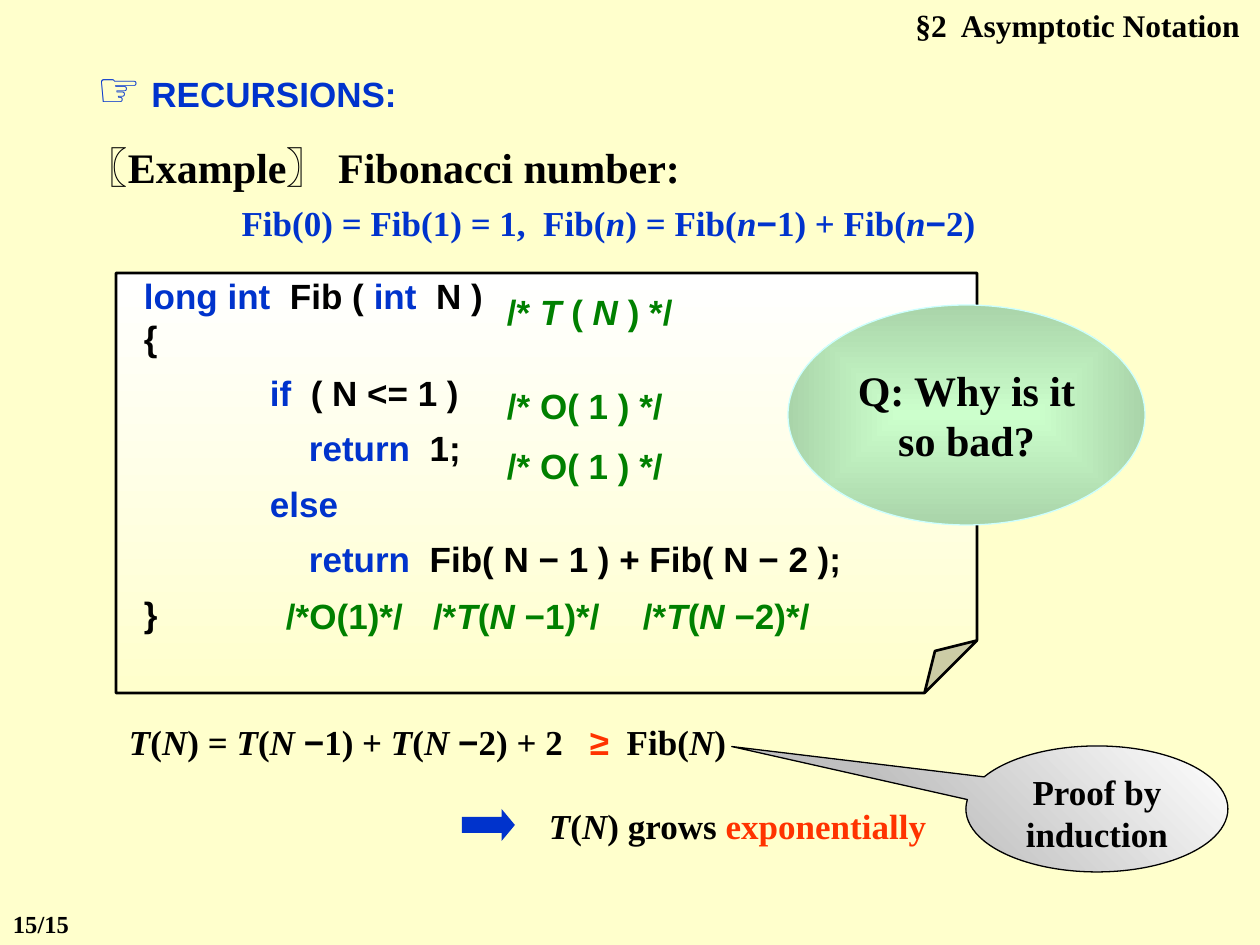
from dataclasses import dataclass
from itertools import groupby
from typing import NamedTuple, Optional

from lxml import etree
from pptx import Presentation
from pptx.dml.color import RGBColor
from pptx.enum.shapes import MSO_SHAPE
from pptx.enum.text import MSO_ANCHOR, PP_ALIGN
from pptx.oxml.ns import qn
from pptx.util import Emu, Pt

LEFT, CENTER, RIGHT = PP_ALIGN.LEFT, PP_ALIGN.CENTER, PP_ALIGN.RIGHT
TOP, MIDDLE, BOTTOM = MSO_ANCHOR.TOP, MSO_ANCHOR.MIDDLE, MSO_ANCHOR.BOTTOM
FOLDED, ELLIPSE = MSO_SHAPE.FOLDED_CORNER, MSO_SHAPE.OVAL
CALLOUT, ARROW = MSO_SHAPE.OVAL_CALLOUT, MSO_SHAPE.RIGHT_ARROW
EMU_PER_PX = 914400 / 126
MINUS = "\u2212"


@dataclass(frozen=True)
class Theme:
    serif: str = "Times New Roman"
    sans: str = "Arial"
    page: str = "FFFFCC"
    ink: str = "000000"
    blue: str = "0033CC"
    green: str = "008000"
    red: str = "FF3300"
    white: str = "FFFFFF"
    grey: str = "C0C0C0"
    mint: str = "CCFFCC"
    sage: str = "A9D4A9"
    ice: str = "CCFFFF"
    icon: int = 28
    large: int = 24
    body: int = 20
    header: int = 18
    small: int = 14


T = Theme()


class Box(NamedTuple):
    x: int
    y: int
    w: int
    h: int


class Run(NamedTuple):
    text: str  # parts between underscores are italic
    color: Optional[str] = None
    font: Optional[str] = None
    size: Optional[int] = None


class Para(NamedTuple):
    runs: list[Run]
    size: int = T.body
    font: str = T.serif
    color: str = T.ink
    align: PP_ALIGN = LEFT
    indent: int = 0
    before: float = 0
    after: float = 0


class Insets(NamedTuple):
    left: int = 13
    top: int = 6
    right: int = 13
    bottom: int = 6


class Label(NamedTuple):
    box: Box
    paras: list[Para]
    insets: Insets = Insets()


class Figure(NamedTuple):
    kind: MSO_SHAPE
    box: Box
    fill: tuple[str, ...]
    angle: Optional[int] = None  # None: gradient from the centre
    line: Optional[str] = None
    width: float = 0.75
    adjust: tuple[tuple[str, int], ...] = ()  # guide name, value in 1/100000
    paras: tuple[Para, ...] = ()
    anchor: MSO_ANCHOR = TOP
    insets: Insets = Insets()


def px(n: float) -> Emu:
    return Emu(round(n * EMU_PER_PX))


def rgb(value: str) -> RGBColor:
    return RGBColor.from_string(value)


def add_runs(p, para: Para, run: Run) -> None:
    font = run.font or para.font
    for i, part in enumerate(run.text.split("_")):
        for minus, chars in groupby(part, lambda c: c == MINUS and font == T.serif):
            r = p.add_run()
            r.text = "".join(chars)
            if i % 2:
                r.font.italic = True
            if minus or run.font:
                r.font.name = T.sans if minus else font
            if run.size:
                r.font.size = Pt(run.size)
            if run.color:
                r.font.color.rgb = rgb(run.color)


def write(tf, paras, insets: Insets, anchor: MSO_ANCHOR = TOP) -> None:
    tf.word_wrap = True
    tf.vertical_anchor = anchor
    tf.margin_left, tf.margin_top, tf.margin_right, tf.margin_bottom = map(px, insets)
    for i, para in enumerate(paras):
        p = tf.add_paragraph() if i else tf.paragraphs[0]
        p.alignment = para.align
        p.space_before, p.space_after = Pt(para.before), Pt(para.after)
        p.font.size, p.font.name, p.font.bold = Pt(para.size), para.font, True
        p.font.color.rgb = rgb(para.color)
        if para.indent:
            p._p.get_or_add_pPr().set("marL", str(px(para.indent)))
        for run in para.runs:
            add_runs(p, para, run)


def add_label(s, label: Label) -> None:
    sp = s.shapes.add_textbox(*map(px, label.box))
    write(sp.text_frame, label.paras, label.insets)


def paint(sp, fig: Figure) -> None:
    if len(fig.fill) == 1:
        sp.fill.solid()
        sp.fill.fore_color.rgb = rgb(fig.fill[0])
        return
    sp.fill.gradient()
    for stop, color in zip(sp.fill.gradient_stops, fig.fill):
        stop.color.rgb = rgb(color)
    if fig.angle is not None:
        sp.fill.gradient_angle = fig.angle
        return
    grad = sp._element.spPr.find(qn("a:gradFill"))
    grad.remove(grad.find(qn("a:lin")))
    centre = etree.SubElement(grad, qn("a:path"), {"path": "rect"})
    etree.SubElement(centre, qn("a:fillToRect"), dict.fromkeys("ltrb", "50000"))


def set_guides(sp, fig: Figure) -> None:
    geom = sp._element.spPr.find(qn("a:prstGeom"))
    for old in geom.findall(qn("a:avLst")):
        geom.remove(old)
    guides = etree.SubElement(geom, qn("a:avLst"))
    for name, value in fig.adjust:
        etree.SubElement(guides, qn("a:gd"), {"name": name, "fmla": f"val {value}"})


def add_figure(s, fig: Figure) -> None:
    sp = s.shapes.add_shape(fig.kind, *map(px, fig.box))
    sp.shadow.inherit = False
    set_guides(sp, fig)
    paint(sp, fig)
    if fig.line:
        sp.line.color.rgb = rgb(fig.line)
        sp.line.width = Pt(fig.width)
    else:
        sp.line.fill.background()
    if fig.paras:
        write(sp.text_frame, fig.paras, fig.insets, fig.anchor)


def code(*runs: Run, indent: int = 0, after: float = 7.5) -> Para:
    return Para(list(runs), font=T.sans, indent=indent, after=after)


def key(word: str) -> Run:
    return Run(word, T.blue)


def comment(x: int, y: int, w: int, text: str) -> Label:
    return Label(Box(x, y, w, 55), [Para([Run(text)], font=T.sans, color=T.green)])


prs = Presentation()
prs.slide_width, prs.slide_height = px(1260), px(945)
s = prs.slides.add_slide(prs.slide_layouts[6])
s.background.fill.solid()
s.background.fill.fore_color.rgb = rgb(T.page)

# Code sheet
STEP, NESTED = 126, 165
add_figure(s, Figure(
    FOLDED, Box(116, 273, 861, 420), (T.white, T.page), 270, T.ink, 1.5, (("adj", 12500),),
    (code(key("long int"), Run("  Fib ( "), key("int"), Run("  N )"), after=0),
     code(Run("{")),
     code(key("if"), Run("  ( N <= 1 )"), indent=STEP),
     code(key("return"), Run("  1;"), indent=NESTED),
     code(key("else"), indent=STEP),
     code(key("return"), Run("  Fib( N − 1 ) + Fib( N − 2 );"), indent=NESTED),
     code(Run("}"))),
    BOTTOM, Insets(left=28)))

# Headings, code comments, conclusion and page number
COMMENT_X, CALLS_Y, SUM_Y = 494, 588, 714
for label in (
    Label(Box(840, 0, 420, 50),
          [Para([Run("§2  Asymptotic Notation")], T.header, align=RIGHT)], Insets(15, 6, 20, 6)),
    Label(Box(84, 53, 388, 72),
          [Para([Run("☞", size=T.icon), Run(" ", font=T.serif, size=T.large),
                 Run("RECURSIONS:")], font=T.sans, color=T.blue)]),
    Label(Box(73, 136, 1071, 115),
          [Para([Run("〖Example〗 Fibonacci number:")], T.large),
           Para([Run("Fib(0) = Fib(1) = 1,  Fib(_n_) = Fib(_n_−1) + Fib(_n_−2)")],
                color=T.blue, align=CENTER, before=5)]),
    comment(COMMENT_X, 284, 231, "/* _T _( _N _) */"),
    *(comment(COMMENT_X, y, 231, "/* O( 1 ) */") for y in (378, 438)),
    comment(273, CALLS_Y, 168, "/*O(1)*/"),
    *(comment(210 + 210 * n, CALLS_Y, 220, f"/*_T_(_N _−{n})*/") for n in (1, 2)),
    Label(Box(116, SUM_Y, 483, 55), [Para([Run("_T_(_N_) = _T_(_N _−1) + _T_(_N _−2) + 2")])]),
    Label(Box(577, SUM_Y, 199, 55), [Para([Run("≥", T.red, T.sans), Run("  Fib(_N_)")])]),
    Label(Box(536, 798, 451, 55),
          [Para([Run("_T_(_N_) grows "), Run("exponentially", T.red)])]),
    Label(Box(0, 903, 84, 43), [Para([Run("15/15")], T.small)]),
):
    add_label(s, label)

# Proof callout, arrow and question bubble
for figure in (
    Figure(CALLOUT, Box(966, 746, 262, 126), (T.white, T.grey), 225, T.ink,
           adjust=(("adj1", -139400), ("adj2", -49500)),
           paras=(Para([Run("Proof by induction")], align=CENTER),)),
    Figure(ARROW, Box(462, 809, 53, 32), (T.blue,), adjust=(("adj1", 50000), ("adj2", 41700))),
    Figure(ELLIPSE, Box(788, 305, 357, 220), (T.mint, T.sage), line=T.ice, anchor=MIDDLE,
           paras=tuple(Para([Run(text)], T.large, align=CENTER)
                       for text in ("Q: Why is it", "so bad?"))),
):
    add_figure(s, figure)

prs.save("out.pptx")
